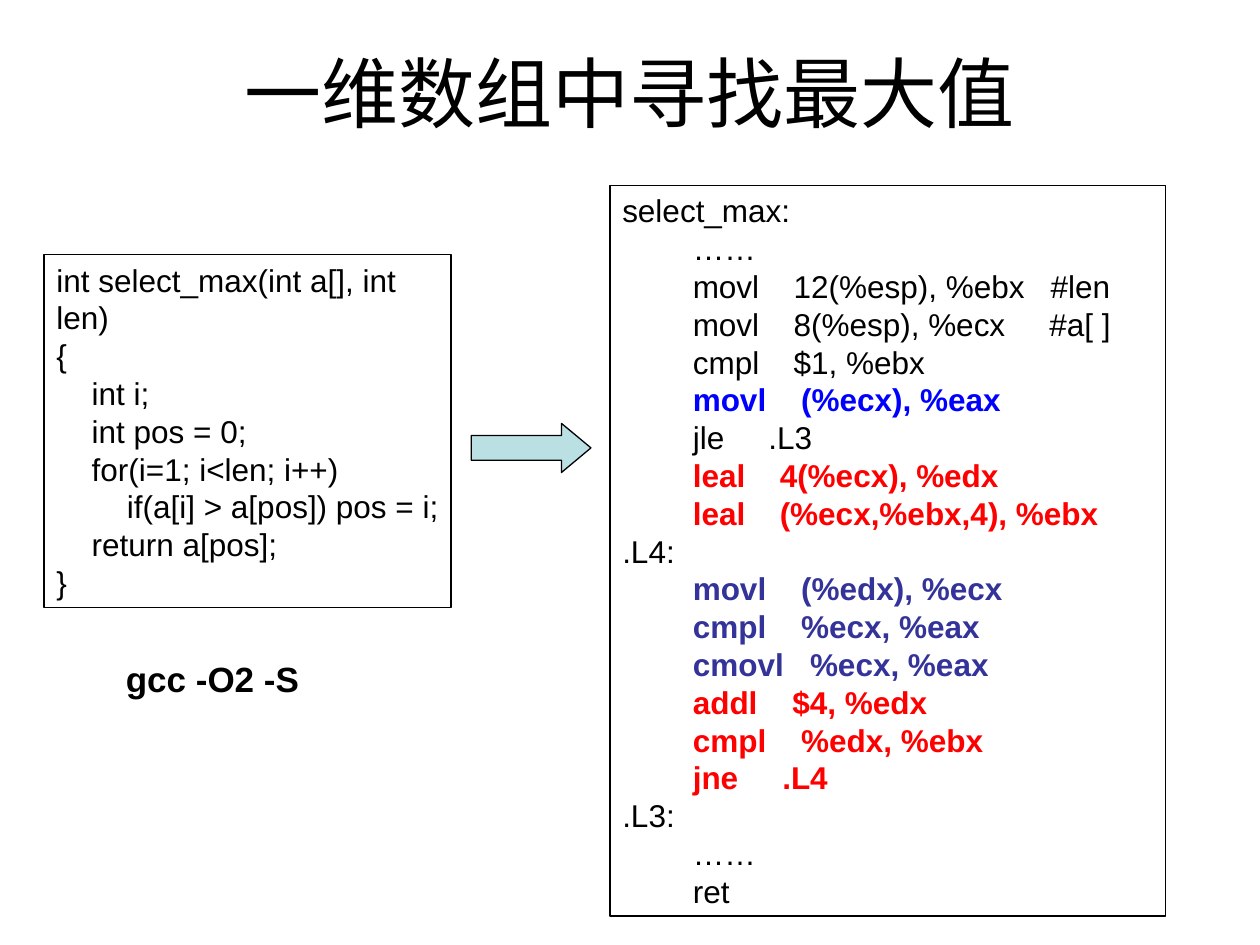
from pptx import Presentation
from pptx.dml.color import RGBColor as RGB
from pptx.enum.shapes import MSO_SHAPE as Kind
from pptx.enum.text import MSO_ANCHOR as Anchor, PP_ALIGN as Align
from pptx.oxml.ns import qn
from pptx.util import Inches, Pt
from lxml.etree import SubElement as Sub

THEME = dict(font="Arial", title=44, code=18, note=20, line=0.75,
             ink="000000", load="0000FF", step="FF0000", loop="333399",
             arrow="BBE0E3")
STEP = 0.28  # one code indent, in inches


def write(box, rows, size=THEME["code"], bold=False, align=Align.LEFT,
          anchor=Anchor.TOP, before=0):
    """Fill a shape with (text, colour name, tab stops) rows."""
    frame = box.text_frame
    frame.word_wrap = True
    frame.vertical_anchor = anchor
    for i, (text, tone, stops) in enumerate(rows):
        para = frame.paragraphs[0] if i == 0 else frame.add_paragraph()
        para.alignment, para.space_before = align, Pt(before)
        run = para.add_run()
        run.text = text
        font = run.font
        font.name, font.size = THEME["font"], Pt(size)
        font.bold = bold or tone != "ink"
        font.color.rgb = RGB.from_string(THEME[tone])
        if stops:
            tabs = Sub(para._p.get_or_add_pPr(), qn("a:tabLst"))
            for stop in stops:
                Sub(tabs, qn("a:tab"), pos=str(Inches(stop)), algn="l")


def draw(kind, area, fill=None):
    """Add an outlined shape, clear unless a fill is given."""
    shape = slide.shapes.add_shape(kind, *map(Inches, area))
    shape.shadow.inherit = False
    shape.line.color.rgb = RGB.from_string(THEME["ink"])
    shape.line.width = Pt(THEME["line"])
    if fill:
        shape.fill.solid()
        shape.fill.fore_color.rgb = RGB.from_string(fill)
    else:
        shape.fill.background()
    return shape


deck = Presentation()
deck.slide_width, deck.slide_height = Inches(10), Inches(7.5)
slide = deck.slides.add_slide(deck.slide_layouts[5])

# Title
title = slide.shapes.title
title.left, title.top, title.width, title.height = map(
    Inches, (0.5, 0.3, 9, 0.85))
write(title, [("一维数组中寻找最大值", "ink", ())], size=THEME["title"],
      align=Align.CENTER, anchor=Anchor.MIDDLE)

# Assembly: operation, colour, then the tab stops of its operands
asm = [
    ("select_max:", "ink"),
    ("\t……", "ink"),
    ("\tmovl\t12(%esp), %ebx\t#len", "ink", 1.36, 3.4),
    ("\tmovl\t8(%esp), %ecx\t#a[ ]", "ink", 1.36, 3.39),
    ("\tcmpl\t$1, %ebx", "ink", 1.36),
    ("\tmovl\t(%ecx), %eax", "load", 1.42),
    ("\tjle\t.L3", "ink", 1.16),
    ("\tleal\t4(%ecx), %edx", "step", 1.25),
    ("\tleal\t(%ecx,%ebx,4), %ebx", "step", 1.25),
    (".L4:", "ink"),
    ("\tmovl\t(%edx), %ecx", "loop", 1.42),
    ("\tcmpl\t%ecx, %eax", "loop", 1.42),
    ("\tcmovl\t%ecx, %eax", "loop", 1.49),
    ("\taddl\t$4, %edx", "step", 1.35),
    ("\tcmpl\t%edx, %ebx", "step", 1.42),
    ("\tjne\t.L4", "step", 1.27),
    (".L3:", "ink"),
    ("\t……", "ink"),
    ("\tret", "ink"),
]
write(draw(Kind.RECTANGLE, (4.84, 1.47, 4.41, 5.8)),
      [(text, tone, (2 * STEP, *stops)) for text, tone, *stops in asm])

# C source
code = [
    "int select_max(int a[], int len)",
    "{",
    "\tint i;",
    "\tint pos = 0;",
    "\tfor(i=1; i<len; i++)",
    "\t\tif(a[i] > a[pos]) pos = i;",
    "\treturn a[pos];",
    "}",
]
write(draw(Kind.RECTANGLE, (0.35, 2.02, 3.23, 2.8)),
      [(text, "ink", (STEP, 2 * STEP)) for text in code])

# Compiler command
note = slide.shapes.add_textbox(*map(Inches, (0.9, 5.17, 1.89, 0.44)))
write(note, [("gcc -O2 -S", "ink", ())], size=THEME["note"], bold=True,
      before=12.5)

# Arrow from source to assembly
arrow = draw(Kind.RIGHT_ARROW, (3.74, 3.36, 0.95, 0.39), THEME["arrow"])
arrow.adjustments[0], arrow.adjustments[1] = 0.5, 0.6

deck.save("out.pptx")
